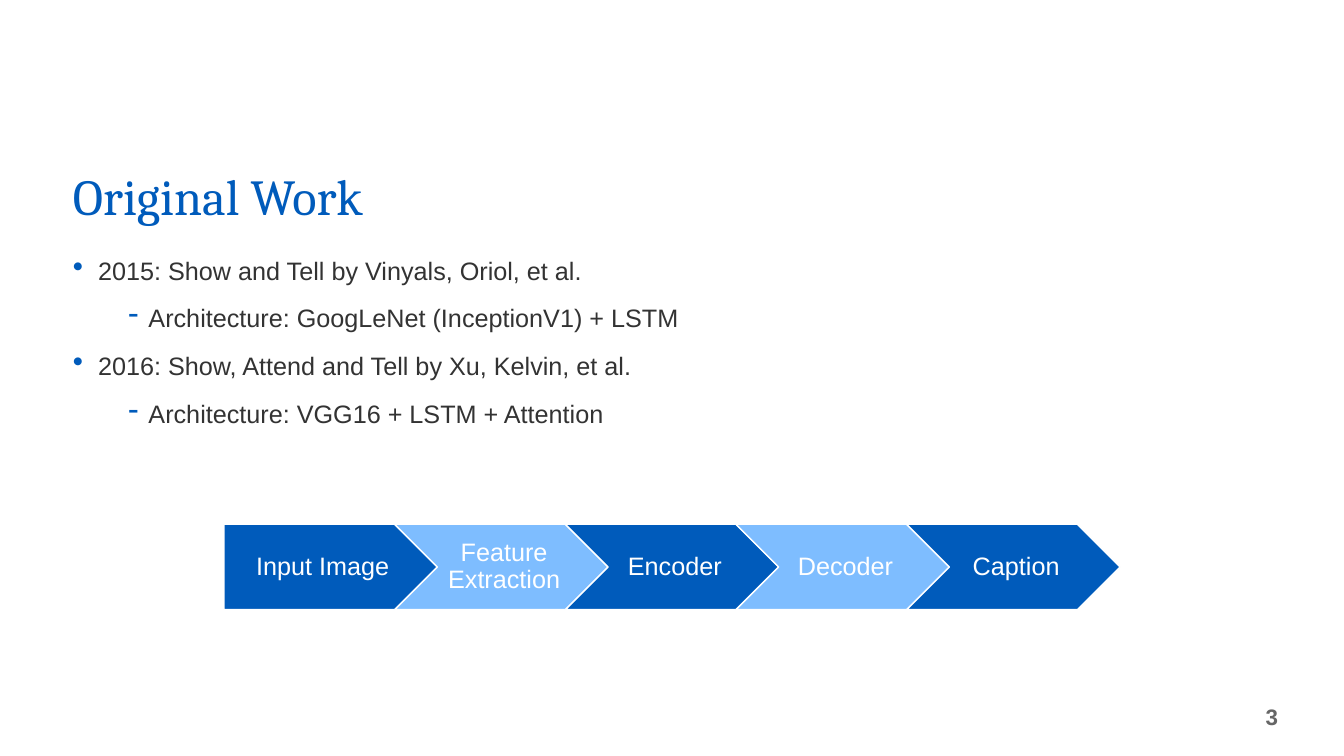
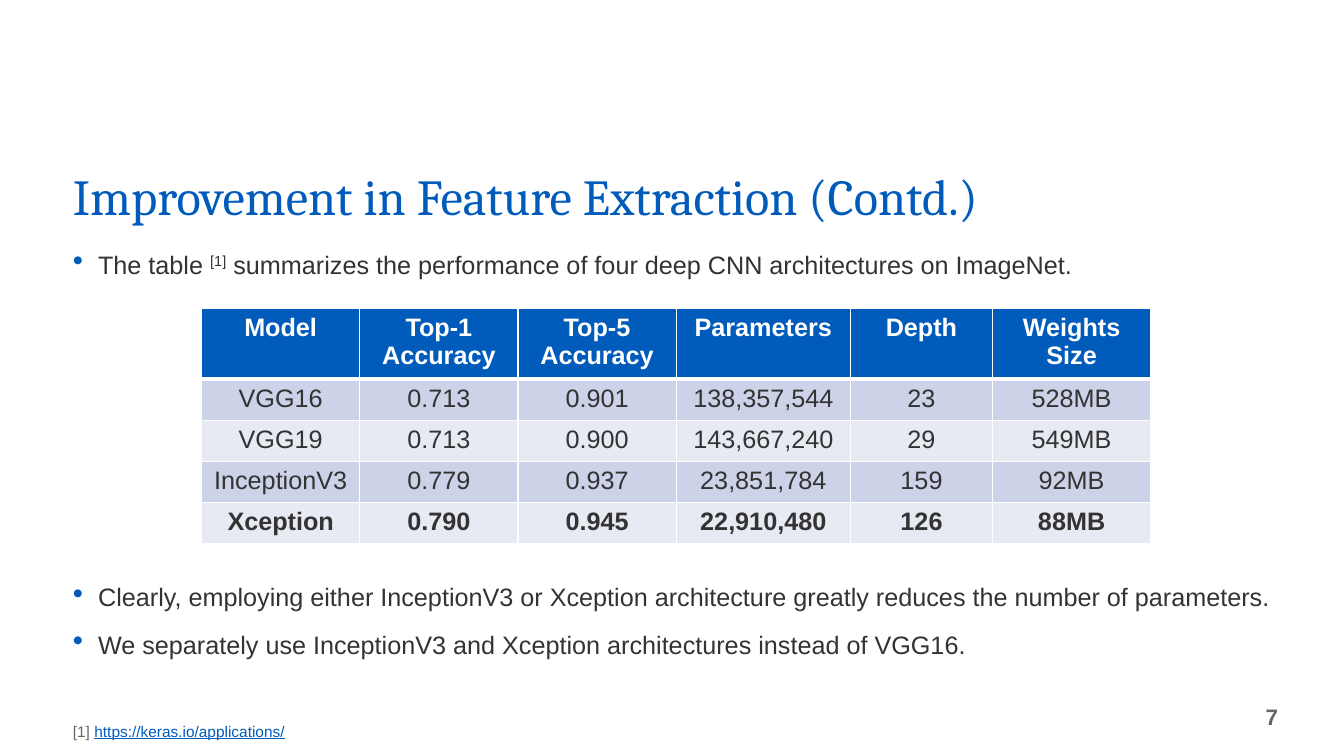
from lxml.etree import SubElement
from pptx import Presentation
from pptx.dml.color import RGBColor
from pptx.enum.shapes import MSO_SHAPE as Shape
from pptx.enum.text import MSO_ANCHOR as Anchor, PP_ALIGN as Align
from pptx.oxml import parse_xml
from pptx.oxml.ns import nsdecls, qn
from pptx.util import Pt

color = RGBColor.from_string
BLUE, SKY, WHITE = "005BBB", "7EBDFF", "FFFFFF"
INK, GRAY = "333333", "666666"
BANDS = ["CCD2E7", "E7EAF3"]
BULLETS = [("•", 18, -18), ("-", 54, -14.4)]  # mark, left margin, indent
LEFT, WIDTH = 45, 875


def add_box(page, left, top, width, height, anchor=Anchor.TOP, wrap=True):
    frame = page.shapes.add_textbox(Pt(left), Pt(top), Pt(width), Pt(height)).text_frame
    frame.word_wrap = wrap
    frame.vertical_anchor = anchor
    return frame


def write(frame, *texts, size=18, ink=INK, font="Arial", bold=False,
          align=Align.LEFT, line=1.0, before=0, level=None):
    """Fill the first paragraph if it is empty, or add one; each text is a run."""
    para = frame.paragraphs[0]
    if para.runs:
        para = frame.add_paragraph()
        para.space_before = Pt(before)
    para.alignment = align
    para.line_spacing = line
    if level is not None:
        mark, margin, indent = BULLETS[level]
        para.level = level
        props = para._p.get_or_add_pPr()
        props.set("marL", str(Pt(margin)))
        props.set("indent", str(Pt(indent)))
        SubElement(SubElement(props, qn("a:buClr")), qn("a:srgbClr"), val=BLUE)
        SubElement(props, qn("a:buSzPct"), val="120000")
        SubElement(props, qn("a:buChar"), char=mark)
    for text in texts:
        span = para.add_run()
        span.text = text
        span.font.name = font
        span.font.size = Pt(size)
        span.font.bold = bold
        span.font.color.rgb = color(ink)
    return para


deck = Presentation()
deck.slide_width, deck.slide_height = Pt(960), Pt(540)

# Titles and page numbers
pages = []
for title, title_width, number in [
    ("Original Work", 547, "3"),
    ("Improvement in Feature Extraction (Contd.)", 824, "7"),
]:
    page = deck.slides.add_slide(deck.slide_layouts[6])
    write(add_box(page, LEFT, 118, title_width, 47, Anchor.BOTTOM), title,
          size=36, ink=BLUE, font="Cambria", line=0.9)
    write(add_box(page, 596, 497.5, 324, 29, Anchor.MIDDLE), number,
          size=16, ink=GRAY, bold=True, align=Align.RIGHT)
    pages.append(page)
work_page, table_page = pages

# Original work
body = add_box(work_page, LEFT, 172, WIDTH, 193)
for level, text in [
    (0, "2015: Show and Tell by Vinyals, Oriol, et al."),
    (1, "Architecture: GoogLeNet (InceptionV1) + LSTM"),
    (0, "2016: Show, Attend and Tell by Xu, Kelvin, et al."),
    (1, "Architecture: VGG16 + LSTM + Attention"),
]:
    write(body, text, line=1.3, before=6, level=level)

step_width = 152.4
steps = ["Input Image", "Feature Extraction", "Encoder", "Decoder", "Caption"]
for index, label in enumerate(steps):
    step = work_page.shapes.add_shape(
        Shape.CHEVRON if index else Shape.PENTAGON,
        Pt(160 + index * 0.8 * step_width), Pt(374.5), Pt(step_width), Pt(61))
    step.shadow.inherit = False
    step.fill.solid()
    step.fill.fore_color.rgb = color(SKY if index % 2 else BLUE)
    step.line.color.rgb = color(WHITE)
    step.line.width = Pt(1)
    frame = step.text_frame
    frame.word_wrap = True
    frame.vertical_anchor = Anchor.MIDDLE
    frame.margin_left, frame.margin_right = Pt(6), Pt(2)
    write(frame, label, ink=WHITE, align=Align.CENTER, line=0.9)

# Feature extraction
intro = write(add_box(table_page, LEFT, 168, WIDTH, 40),
              "The table ", "[1]",
              " summarizes the performance of four deep CNN architectures on ImageNet.",
              line=1.3, level=0)
intro.runs[1]._r.get_or_add_rPr().set("baseline", "30000")

rows = [
    ["Model", "Top-1 Accuracy", "Top-5 Accuracy", "Parameters", "Depth", "Weights Size"],
    ["VGG16", "0.713", "0.901", "138,357,544", "23", "528MB"],
    ["VGG19", "0.713", "0.900", "143,667,240", "29", "549MB"],
    ["InceptionV3", "0.779", "0.937", "23,851,784", "159", "92MB"],
    ["Xception", "0.790", "0.945", "22,910,480", "126", "88MB"],
]
column_widths = [113, 113, 113, 124.5, 101.5, 113]
row_heights = [47] + [29.3] * 4
table = table_page.shapes.add_table(
    len(rows), len(column_widths), Pt(144), Pt(220.5),
    Pt(sum(column_widths)), Pt(sum(row_heights))).table
for column, width in zip(table.columns, column_widths):
    column.width = Pt(width)
for row, height in zip(table.rows, row_heights):
    row.height = Pt(height)

for r, values in enumerate(rows):
    header = r == 0
    borders = {"L": 1, "R": 1, "T": 3 if r == 1 else 1, "B": 3 if header else 1}
    for c, value in enumerate(values):
        cell = table.cell(r, c)
        props = cell._tc.get_or_add_tcPr()
        for side, weight in borders.items():
            props.append(parse_xml(
                f'<a:ln{side} {nsdecls("a")} w="{Pt(weight)}"><a:solidFill>'
                f'<a:srgbClr val="{WHITE}"/></a:solidFill></a:ln{side}>'))
        cell.fill.solid()
        cell.fill.fore_color.rgb = color(BLUE if header else BANDS[(r - 1) % 2])
        write(cell.text_frame, value, ink=WHITE if header else INK,
              bold=header or values[0] == "Xception", align=Align.CENTER)

findings = add_box(table_page, LEFT, 405.5, WIDTH, 75)
for text in [
    "Clearly, employing either InceptionV3 or Xception architecture greatly reduces"
    " the number of parameters.",
    "We separately use InceptionV3 and Xception architectures instead of VGG16.",
]:
    write(findings, text, line=1.3, before=6, level=0)

source = write(add_box(table_page, LEFT, 512, 166, 21, wrap=False),
               "[1] ", "https://keras.io/applications/", size=11, ink=GRAY)
address = source.runs[1].font
address.underline = True
address.color.rgb = color(BLUE)

deck.save("out.pptx")
